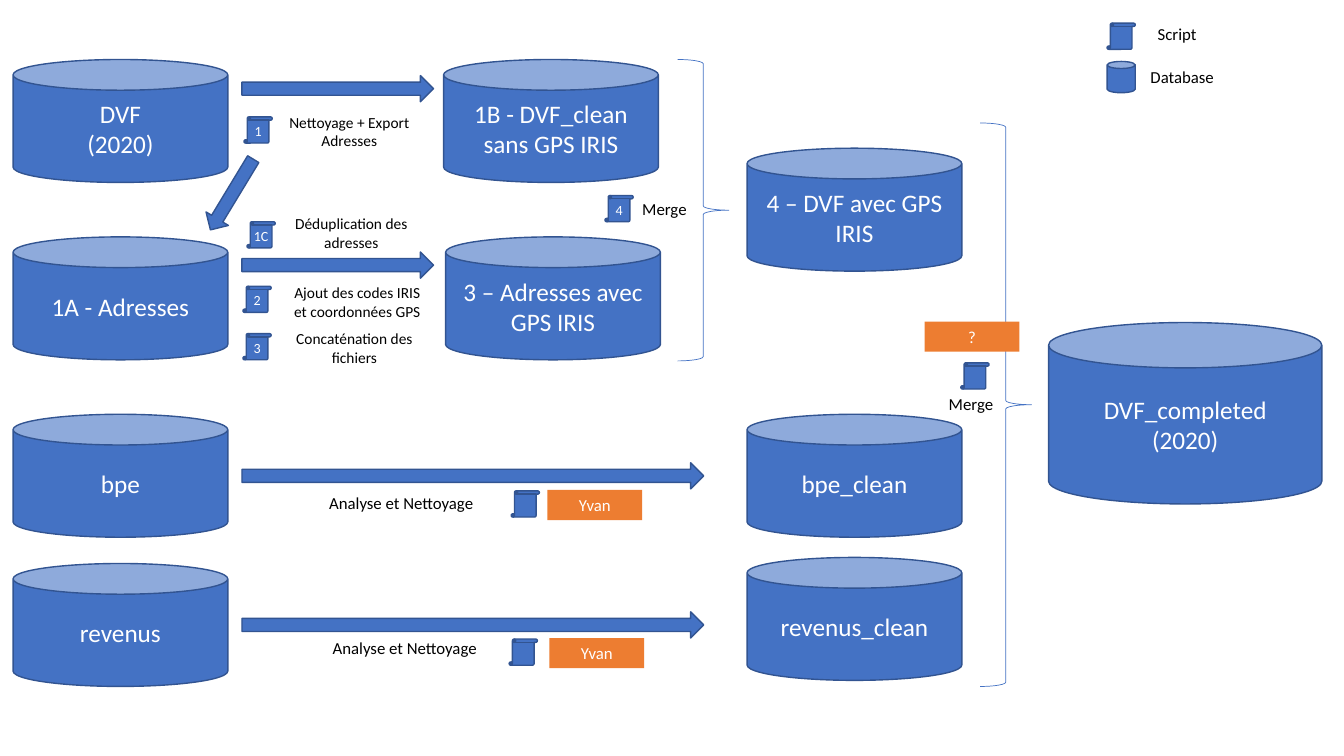
from pptx import Presentation
from pptx.dml.color import RGBColor
from pptx.enum.shapes import MSO_SHAPE
from pptx.enum.text import MSO_ANCHOR, MSO_AUTO_SIZE, PP_ALIGN
from pptx.util import Inches, Pt

BLUE, EDGE, ORANGE, WHITE, BLACK = "4472C4", "325491", "ED7D31", "FFFFFF", "000000"
CAN_W, CAN_H = 2.13, 1.22
LEFT_X, RIGHT_X = 0.13, 7.41

DATABASES = [
    (LEFT_X, 0.59, "DVF\n(2020)"),
    (LEFT_X, 2.35, "1A - Adresses"),
    (LEFT_X, 4.11, "bpe"),
    (LEFT_X, 5.59, "revenus"),
    (4.4, 0.59, "1B - DVF_clean sans GPS IRIS"),
    (4.42, 2.35, "3 – Adresses avec GPS IRIS"),
    (RIGHT_X, 1.47, "4 – DVF avec GPS IRIS"),
    (RIGHT_X, 4.11, "bpe_clean"),
    (RIGHT_X, 5.53, "revenus_clean"),
]
ARROWS = [
    (2.17, 1.52, 0.82, 31.2),
    (3.22, -0.07, 1.9, 270),
    (3.22, 1.68, 1.9, 270),
    (4.56, 2.43, 4.58, 270),
    (4.56, 3.91, 4.58, 270),
]
BRACES = [(6.72, 0.59, 2.99), (9.72, 1.22, 5.59)]
SCRIPTS = [
    (2.42, 1.16, "1"),
    (2.45, 2.2, "1C"),
    (2.41, 2.84, "2"),
    (2.41, 3.31, "3"),
    (6, 1.94, "4"),
    (5.07, 4.87, ""),
    (5.05, 6.34, ""),
    (9.53, 3.6, ""),
    (10.98, 0.23, ""),
]
CAPTIONS = [
    (2.61, 1.07, 1.71, 0.47, "Nettoyage + Export Adresses", 11),
    (2.7, 2.08, 1.57, 0.47, "Déduplication des adresses", 11),
    (2.76, 2.76, 1.57, 0.47, "Ajout des codes IRIS et coordonnées GPS", 11),
    (2.64, 3.22, 1.75, 0.47, "Concaténation des fichiers", 11),
    (3.1, 4.84, 1.76, 0.3, "Analyse et Nettoyage", 12),
    (2.98, 6.28, 2.07, 0.3, "Analyse et Nettoyage", 12),
    (6.13, 1.92, 0.92, 0.3, "Merge", 12),
    (9.17, 3.86, 0.92, 0.3, "Merge", 12),
    (10.98, 0.19, 1.39, 0.3, "Script", 12),
    (11.03, 0.61, 1.39, 0.3, "Database", 12),
]
OWNERS = [(5.43, 4.86, "Yvan"), (5.45, 6.33, "Yvan"), (9.17, 3.19, "?")]


def rgb(value):
    """Turn a hex string into a colour."""
    return RGBColor.from_string(value)


def set_attrs(obj, values):
    """Set every attribute named in a dict."""
    for name, value in values.items():
        setattr(obj, name, value)


def write(sp, text, size, color, **frame):
    """Write centred text, one paragraph per line."""
    tf = sp.text_frame
    set_attrs(tf, {"word_wrap": True, **frame})
    for i, line in enumerate(text.split("\n")):
        p = tf.add_paragraph() if i else tf.paragraphs[0]
        p.alignment = PP_ALIGN.CENTER
        r = p.add_run()
        r.text = line
        set_attrs(r.font, {"name": "Calibri", "size": Pt(size)})
        r.font.color.rgb = rgb(color)


def add_shape(s, kind, box, fill=BLUE, line=EDGE, weight=1):
    """Add a preset shape; None leaves out its fill or line."""
    sp = s.shapes.add_shape(kind, *map(Inches, box))
    sp.shadow.inherit = False
    if fill:
        sp.fill.solid()
        sp.fill.fore_color.rgb = rgb(fill)
    else:
        sp.fill.background()
    if line:
        sp.line.color.rgb = rgb(line)
        sp.line.width = Pt(weight)
    else:
        sp.line.fill.background()
    return sp


def add_database(s, x, y, text, w=CAN_W, h=CAN_H):
    """Add a cylinder with its table name."""
    sp = add_shape(s, MSO_SHAPE.CAN, (x, y, w, h))
    if text:
        write(sp, text, 18, WHITE, vertical_anchor=MSO_ANCHOR.MIDDLE)


def add_arrow(s, x, y, length, rotation):
    """Add a down arrow turned to its direction."""
    add_shape(s, MSO_SHAPE.DOWN_ARROW, (x, y, 0.26, length)).rotation = rotation


def add_brace(s, x, y, h):
    """Add a thin right brace."""
    add_shape(s, MSO_SHAPE.RIGHT_BRACE, (x, y, 0.51, h), None, BLUE, 0.5)


def add_script(s, x, y, number):
    """Add a scroll icon with its step number."""
    sp = add_shape(s, MSO_SHAPE.VERTICAL_SCROLL, (x, y, 0.28, 0.26))
    if number:
        write(sp, number, 10, WHITE, vertical_anchor=MSO_ANCHOR.MIDDLE,
              margin_left=0, margin_right=0, margin_top=0, margin_bottom=0)


def add_caption(s, x, y, w, h, text, size):
    """Add a text box describing a step."""
    sp = s.shapes.add_textbox(*map(Inches, (x, y, w, h)))
    write(sp, text, size, BLACK, auto_size=MSO_AUTO_SIZE.SHAPE_TO_FIT_TEXT)


def add_owner(s, x, y, name):
    """Add an orange tag naming who does the step."""
    sp = add_shape(s, MSO_SHAPE.RECTANGLE, (x, y, 0.94, 0.3), ORANGE, None)
    write(sp, name, 12, WHITE, vertical_anchor=MSO_ANCHOR.TOP,
          auto_size=MSO_AUTO_SIZE.SHAPE_TO_FIT_TEXT)


def main():
    """Build the data pipeline slide."""
    prs = Presentation()
    set_attrs(prs, {"slide_width": Inches(13.33), "slide_height": Inches(7.5)})
    s = prs.slides.add_slide(prs.slide_layouts[6])
    for database in DATABASES:
        add_database(s, *database)
    add_database(s, 10.4, 3.2, "DVF_completed\n(2020)", 2.71, 1.8)
    add_database(s, 10.98, 0.61, "", 0.28, 0.31)
    for add, items in (
        (add_arrow, ARROWS),
        (add_brace, BRACES),
        (add_script, SCRIPTS),
        (add_owner, OWNERS),
        (add_caption, CAPTIONS),
    ):
        for item in items:
            add(s, *item)
    prs.save("out.pptx")


if __name__ == "__main__":
    main()
